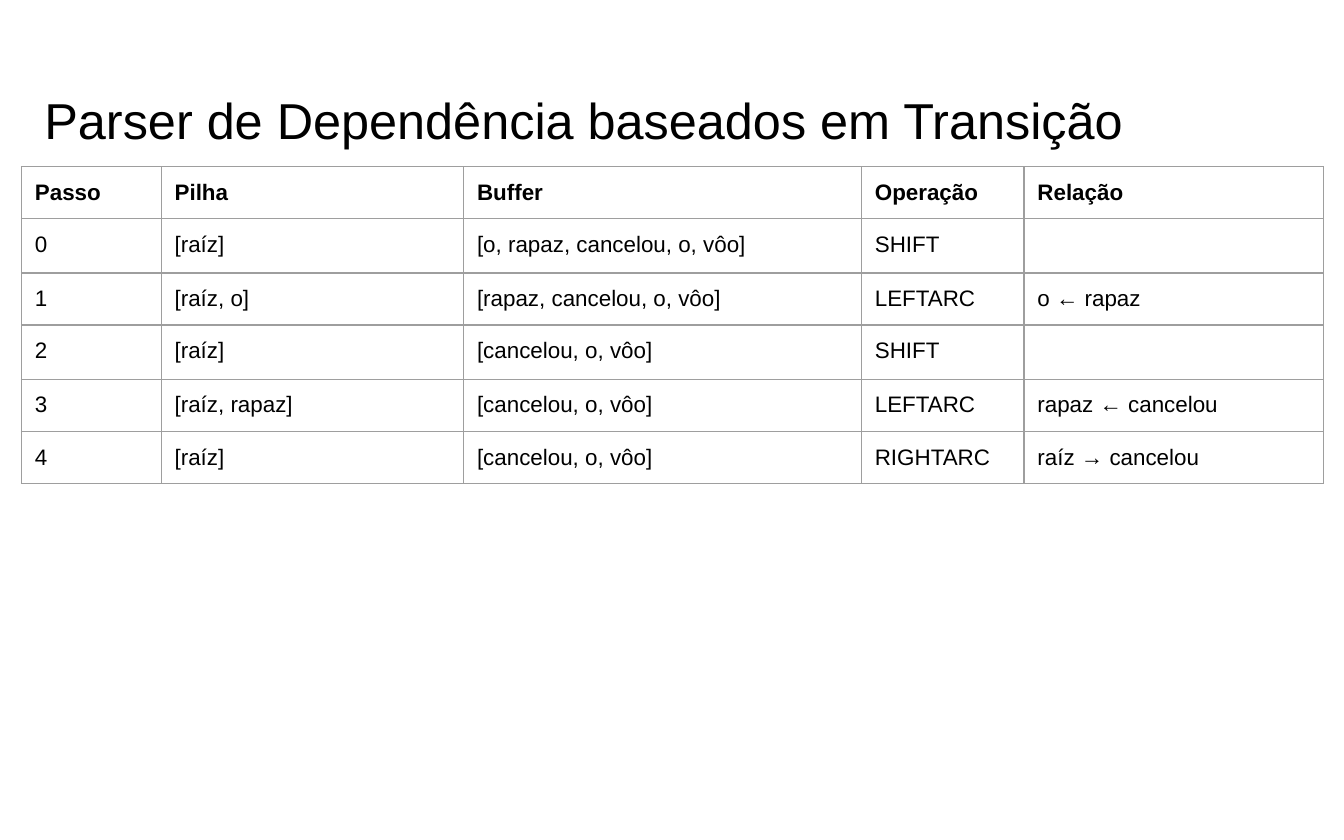
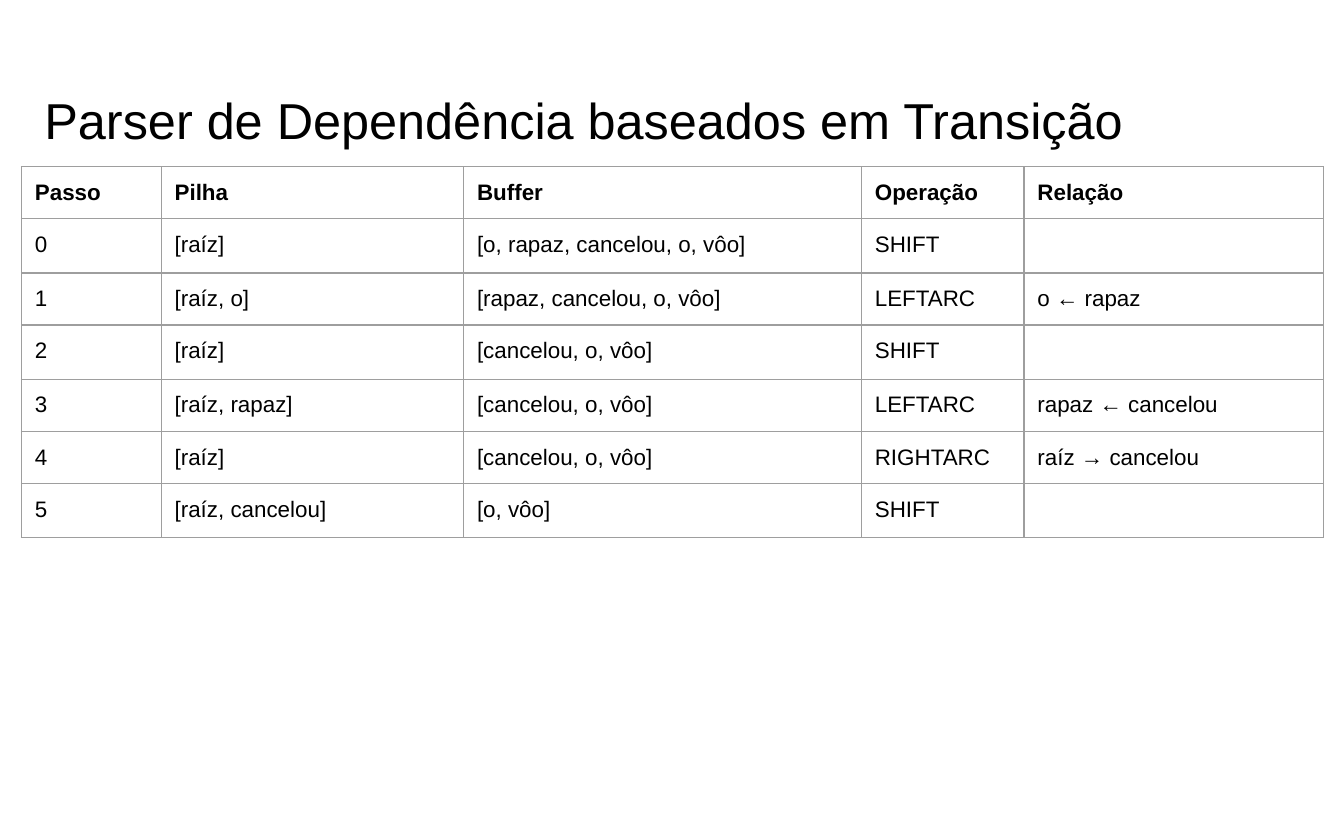
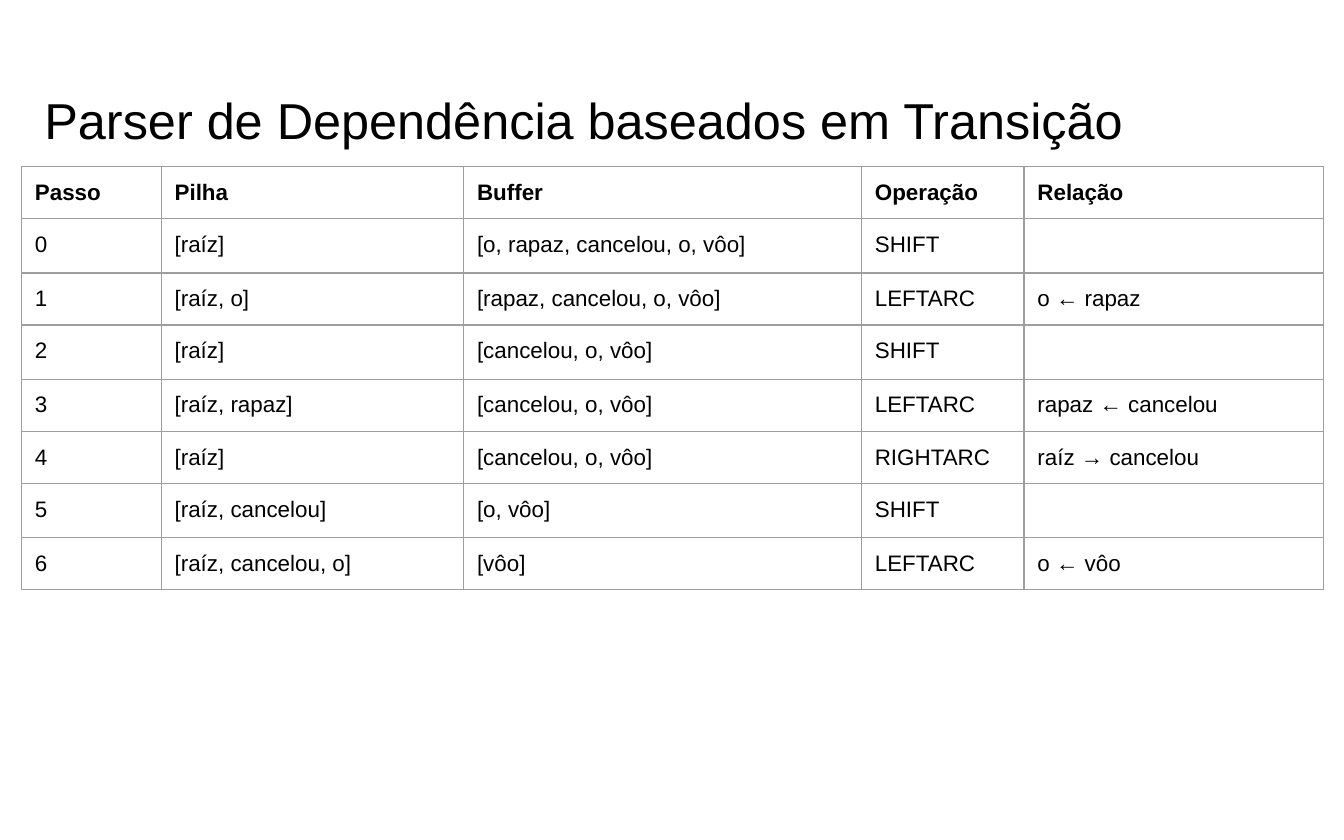
from typing import Any, NamedTuple

from lxml.etree import SubElement
from pptx import Presentation
from pptx.dml.color import RGBColor
from pptx.enum.text import MSO_ANCHOR, MSO_AUTO_SIZE, PP_ALIGN
from pptx.oxml import parse_xml
from pptx.oxml.ns import nsdecls, qn
from pptx.util import Inches, Pt

WIDE, HIGH = Inches(10), Inches(6.25)
COLS, ROWS = 1000, 625
BLACK = RGBColor(0, 0, 0)
GRAY = RGBColor(0x9E, 0x9E, 0x9E)
FACE = "Arial"
BODY = Pt(12)
EDGE = Pt(0.75)
PAD = Inches(0.1)
PADS = {f"margin_{side}": PAD for side in ("left", "top", "right", "bottom")}
TITLE = "Parser de Dependência baseados em Transição"
HEADS = ("Passo", "Pilha", "Buffer", "Operação", "Relação")
SPANS = (104, 225, 296, 121, 223)
ROW = 28
FRAME_ROW = 40
COUNTS = (5, 6, 7)


class Box(NamedTuple):
    col: int
    row: int
    cols: int
    rows: int


class Step(NamedTuple):
    stack: str
    buffer: str
    move: str
    link: str = ""


HEADING = Box(23, 54, 932, 70)
STEPS = (
    Step("[raíz]", "[o, rapaz, cancelou, o, vôo]", "SHIFT"),
    Step("[raíz, o]", "[rapaz, cancelou, o, vôo]", "LEFTARC", "o ← rapaz"),
    Step("[raíz]", "[cancelou, o, vôo]", "SHIFT"),
    Step("[raíz, rapaz]", "[cancelou, o, vôo]", "LEFTARC", "rapaz ← cancelou"),
    Step("[raíz]", "[cancelou, o, vôo]", "RIGHTARC", "raíz → cancelou"),
    Step("[raíz, cancelou]", "[o, vôo]", "SHIFT"),
    Step("[raíz, cancelou, o]", "[vôo]", "LEFTARC", "o ← vôo"),
)


def across(cols: int) -> int:
    return WIDE * cols // COLS


def down(rows: int) -> int:
    return HIGH * rows // ROWS


def place(box: Box) -> dict[str, int]:
    return {"left": across(box.col), "top": down(box.row),
            "width": across(box.cols), "height": down(box.rows)}


def apply(item: Any, style: dict[str, Any]) -> None:
    for name, value in style.items():
        setattr(item, name, value)


def write(para: Any, text: str, size: int, bold: bool) -> None:
    para.alignment = PP_ALIGN.LEFT
    if not text:
        SubElement(para._p, qn("a:endParaRPr"), sz=str(int(size / Pt(1) * 100)))
        return
    run = para.add_run()
    run.text = text
    apply(run.font, {"name": FACE, "size": size, "bold": bold})
    run.font.color.rgb = BLACK


def border(cell: Any) -> None:
    props = cell._tc.get_or_add_tcPr()
    for spot, side in enumerate("LRTB"):
        props.insert(spot, parse_xml(
            f'<a:ln{side} {nsdecls("a")} w="{EDGE}"><a:solidFill>'
            f'<a:srgbClr val="{GRAY}"/></a:solidFill></a:ln{side}>'))


def draw_title(slide: Any) -> None:
    title = slide.shapes.title
    apply(title, place(HEADING))
    apply(title.text_frame, PADS | {
        "word_wrap": True, "auto_size": MSO_AUTO_SIZE.NONE,
        "vertical_anchor": MSO_ANCHOR.MIDDLE})
    write(title.text_frame.paragraphs[0], TITLE, Pt(27), False)


def draw_table(slide: Any, steps: tuple[Step, ...]) -> None:
    lines = [HEADS] + [(str(num), *step) for num, step in enumerate(steps)]
    spot = place(Box(16, 124, sum(SPANS), FRAME_ROW * len(lines)))
    frame = slide.shapes.add_table(len(lines), len(HEADS), **spot)
    table = frame.table
    apply(table, {"first_row": False, "horz_banding": False})
    for column, span in zip(table.columns, SPANS):
        column.width = across(span)
    for num, (row, line) in enumerate(zip(table.rows, lines)):
        row.height = down(ROW)
        for cell, text in zip(row.cells, line):
            apply(cell, PADS | {"vertical_anchor": MSO_ANCHOR.TOP})
            cell.fill.background()
            border(cell)
            write(cell.text_frame.paragraphs[0], text, BODY, num == 0)
    frame.height = spot["height"]


def main() -> None:
    deck = Presentation()
    apply(deck, {"slide_width": WIDE, "slide_height": HIGH})
    layout = deck.slide_layouts.get_by_name("Title Only")
    for count in COUNTS:
        slide = deck.slides.add_slide(layout)
        draw_title(slide)
        draw_table(slide, STEPS[:count])
    deck.save("out.pptx")


if __name__ == "__main__":
    main()
